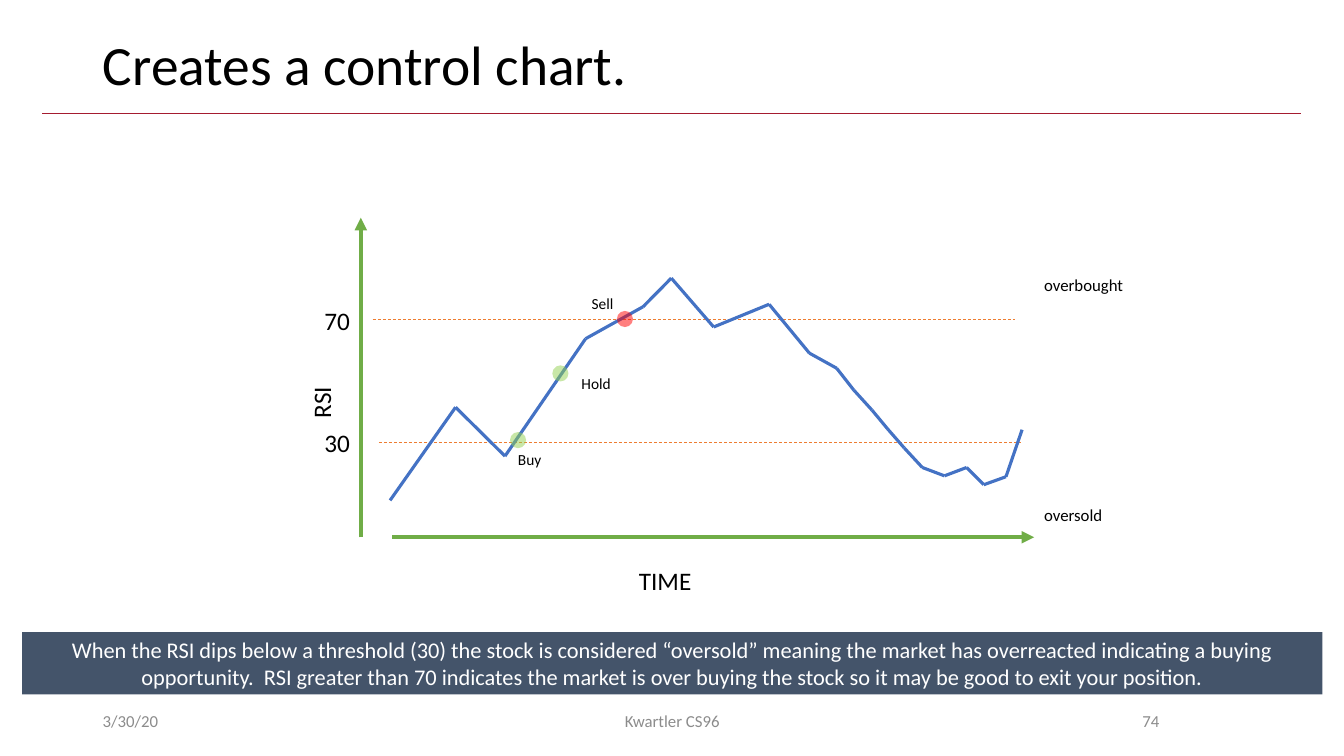
import itertools

import pptx
import pptx.dml.color
import pptx.enum.dml
import pptx.enum.shapes
import pptx.enum.text
import pptx.oxml
import pptx.oxml.ns
import pptx.util

Inches = pptx.util.Inches
ALIGN = pptx.enum.text.PP_ALIGN
ANCHOR = pptx.enum.text.MSO_ANCHOR
SHAPE = pptx.enum.shapes.MSO_SHAPE

RSI_POINTS = [
    (0.29, 11), (0.94, 41.3), (1.43, 25.4), (2.23, 63.6), (2.8, 74),
    (3.08, 83.3), (3.5, 67.4), (4.05, 74.8), (4.45, 58.9), (4.72, 54),
    (4.89, 46.9), (5.07, 40.4), (5.23, 34.1), (5.39, 28.1), (5.57, 21.7),
    (5.79, 19), (6.01, 21.7), (6.18, 16.1), (6.4, 18.7), (6.56, 34),
]
SIGNALS = [
    ("Buy", 1.56, 30.6, "92D050", (1.46, 2.26, 0.44)),
    ("Sell", 2.62, 70, "FF0000", (2.19, 0.71, 0.42)),
    ("Hold", 1.98, 52.3, "92D050", (2.09, 1.5, 0.49)),
]


def color(value):
    return pptx.dml.color.RGBColor.from_string(value)


def add_child(parent, tag, **attributes):
    child = pptx.oxml.parse_xml(f"<a:{tag} {pptx.oxml.ns.nsdecls('a')}/>")
    for name, value in attributes.items():
        child.set(name, value)
    parent.append(child)


def write(shape, text, size, hex_color, align=ALIGN.LEFT, anchor=ANCHOR.TOP, wrap=True):
    frame = shape.text_frame
    frame.text = text
    frame.word_wrap = wrap
    frame.vertical_anchor = anchor
    paragraph = frame.paragraphs[0]
    paragraph.alignment = align
    paragraph.font.name = "Calibri"
    paragraph.font.size = pptx.util.Pt(size)
    paragraph.font.color.rgb = color(hex_color)
    return paragraph


def add_label(slide, text, left, top, width, height, size, hex_color="000000", **layout):
    box = slide.shapes.add_textbox(Inches(left), Inches(top), Inches(width), Inches(height))
    write(box, text, size, hex_color, **layout)
    return box


def add_line(slide, start, end, hex_color, weight, dashed=False, arrow=False):
    line = slide.shapes.add_connector(
        pptx.enum.shapes.MSO_CONNECTOR.STRAIGHT, *map(Inches, start + end))
    line.line.color.rgb = color(hex_color)
    line.line.width = pptx.util.Pt(weight)
    if dashed:
        line.line.dash_style = pptx.enum.dml.MSO_LINE.DASH
    if arrow:
        add_child(line.line._get_or_add_ln(), "tailEnd", type="triangle")
    add_child(line._element.spPr, "effectLst")


def add_filled(slide, preset, left, top, width, height, hex_color):
    shape = slide.shapes.add_shape(
        preset, Inches(left), Inches(top), Inches(width), Inches(height))
    shape.shadow.inherit = False
    shape.fill.solid()
    shape.fill.fore_color.rgb = color(hex_color)
    shape.line.fill.background()
    return shape


def add_header(slide, left, top, width, height):
    title = slide.shapes.title
    title.left, title.top = Inches(left + 0.5), Inches(top)
    title.width, title.height = Inches(width - 0.99), Inches(height - 0.18)
    paragraph = write(title, "Creates a control chart.", 39.6, "000000", anchor=ANCHOR.MIDDLE)
    paragraph.line_spacing = 0.9
    rule = top + height
    add_line(slide, (left, rule), (left + width, rule), "A51C30", 0.5)


def add_control_chart(slide, left, top, width, height):
    right, bottom = left + width, top + height

    def level(value):
        return bottom - 0.03 - value * 0.0305

    add_line(slide, (left + 0.31, bottom), (right, bottom), "70AD47", 3, arrow=True)
    add_line(slide, (left, bottom), (left, top), "70AD47", 3, arrow=True)
    add_label(slide, "TIME", left + 2.66, bottom + 0.23, 0.73, 0.4, 18, wrap=False)
    axis_name = add_label(slide, "RSI", left - 0.68, top + 1.6, 0.57, 0.4, 18, wrap=False)
    axis_name.rotation = 270

    for value, indent in ((70, 0.12), (30, 0.18)):
        y = level(value)
        start = left + indent
        add_line(slide, (start, y), (start + 6.37, y), "ED7D31", 0.5, dashed=True)
        add_label(slide, str(value), left - 0.46, y - 0.19, 0.46, 0.4, 18, wrap=False)

    points = [(left + x, level(value)) for x, value in RSI_POINTS]
    for start, end in itertools.pairwise(points):
        add_line(slide, start, end, "4472C4", 2.25)

    for name, x, value, hex_color, (label_x, label_y, label_width) in SIGNALS:
        dot = add_filled(slide, SHAPE.OVAL, left + x - 0.08, level(value) - 0.08,
                         0.16, 0.16, hex_color)
        fill = dot._element.spPr.find(pptx.oxml.ns.qn("a:solidFill"))
        add_child(fill[0], "alpha", val="50000")
        add_label(slide, name, left + label_x, top + label_y, label_width, 0.29, 11, wrap=False)

    add_label(slide, "overbought", right, top + 0.52, 0.99, 0.3, 12, wrap=False)
    add_label(slide, "oversold", right, top + 2.8, 0.79, 0.3, 12, wrap=False)


def add_takeaway(slide, left, top, width, height):
    banner = add_filled(slide, SHAPE.RECTANGLE, left, top, width, height, "44546A")
    write(banner,
          "When the RSI dips below a threshold (30) the stock is considered “oversold” "
          "meaning the market has overreacted indicating a buying opportunity.  RSI greater "
          "than 70 indicates the market is over buying the stock so it may be good to exit "
          "your position.",
          16, "FFFFFF", ALIGN.CENTER, ANCHOR.MIDDLE)


def add_footer(slide, left, top, width, height):
    parts = [
        ("3/30/20", left, 3, ALIGN.LEFT),
        ("Kwartler CS96", left + 3.5, 4.5, ALIGN.CENTER),
        ("74", left + width - 2.18, 2.18, ALIGN.RIGHT),
    ]
    for text, x, part_width, align in parts:
        add_label(slide, text, x, top, part_width, height, 12, "8C8C8C",
                  align=align, anchor=ANCHOR.MIDDLE)


def main():
    presentation = pptx.Presentation()
    presentation.slide_width = Inches(40 / 3)
    presentation.slide_height = Inches(7.5)
    slide = presentation.slides.add_slide(presentation.slide_layouts[5])
    add_header(slide, 0.42, 0.4, 12.49, 0.72)
    add_control_chart(slide, 3.58, 2.16, 6.68, 3.17)
    add_takeaway(slide, 0.22, 6.27, 12.9, 0.62)
    add_footer(slide, 0.92, 6.95, 10.68, 0.4)
    presentation.save("out.pptx")


if __name__ == "__main__":
    main()
